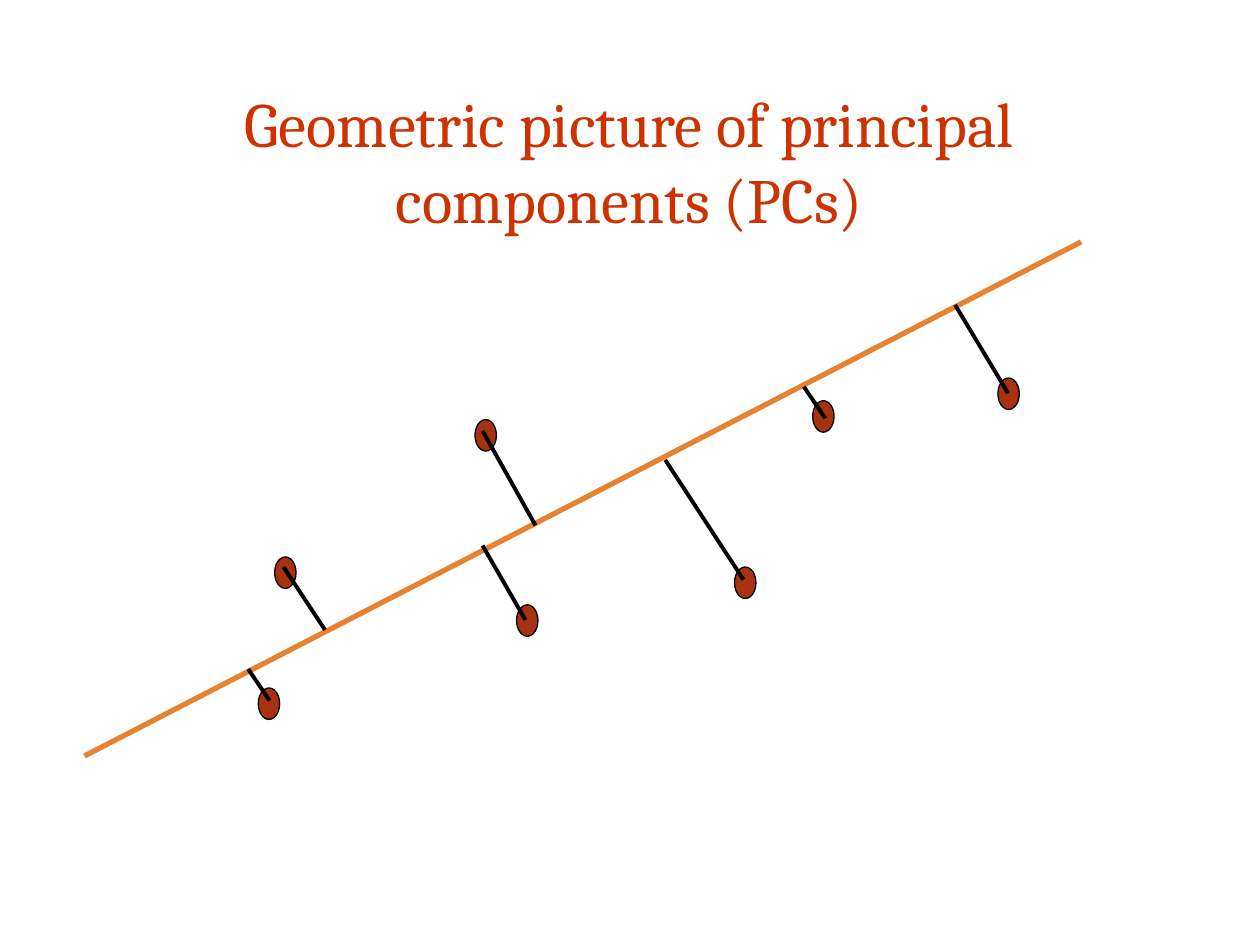
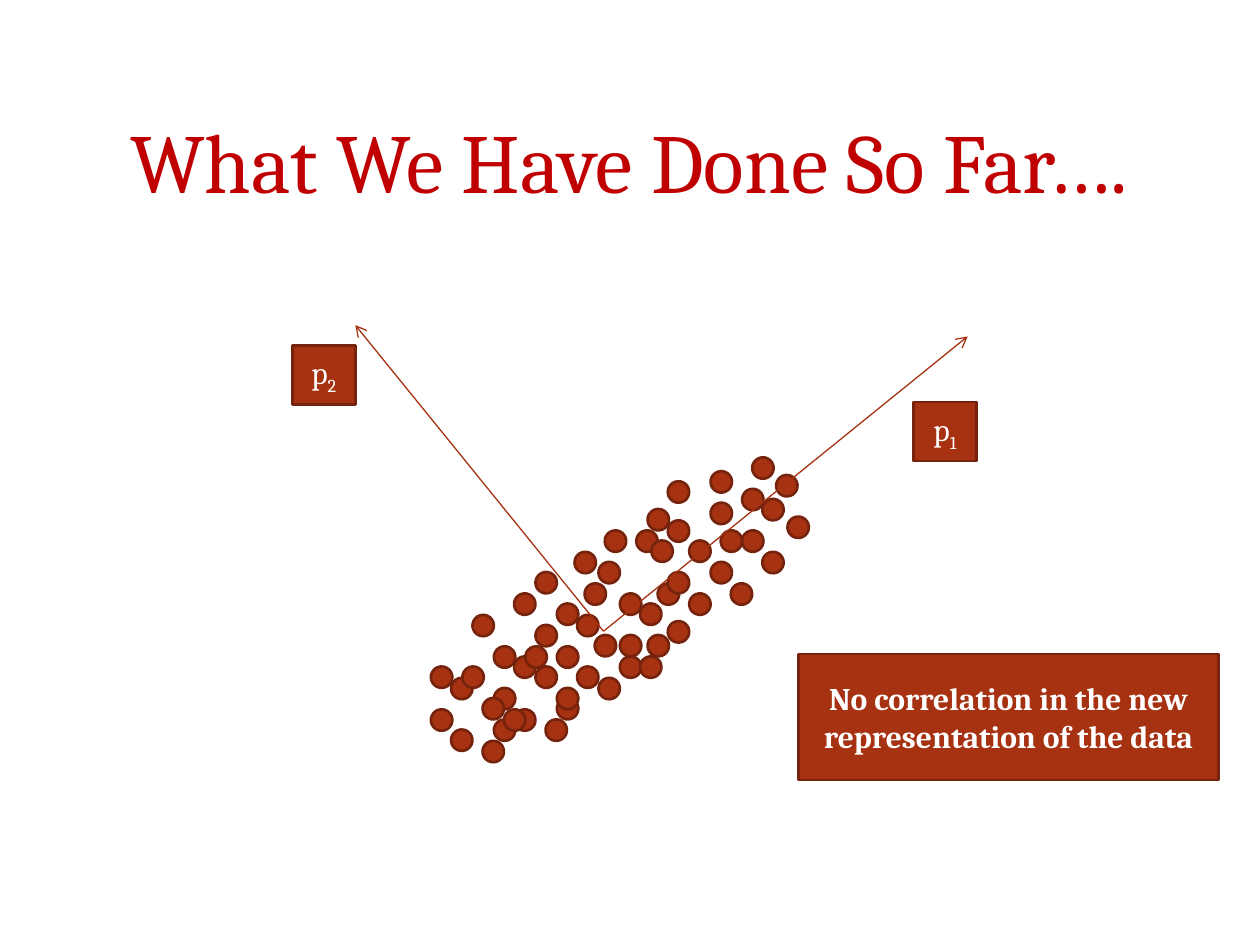
from lxml.etree import SubElement
from pptx import Presentation
from pptx.dml.color import RGBColor
from pptx.enum.shapes import MSO_CONNECTOR, MSO_SHAPE
from pptx.enum.text import MSO_ANCHOR, PP_ALIGN
from pptx.oxml.ns import qn
from pptx.util import Inches, Pt

WHITE = RGBColor(0xFF, 0xFF, 0xFF)
BLACK = RGBColor(0x00, 0x00, 0x00)
TITLE_ORANGE = RGBColor(0xCC, 0x33, 0x00)
TITLE_RED = RGBColor(0xC0, 0x00, 0x00)
RUST = RGBColor(0xA6, 0x32, 0x12)
DARK_RUST = RGBColor(0x75, 0x23, 0x0C)
AXIS_ORANGE = RGBColor(0xE6, 0x82, 0x30)

# Left and top of each point, with both ends of its projection line
PROJECTIONS = [
    ((2.18, 4.42), (2.58, 5), (2.25, 4.5)),
    ((2.05, 5.46), (2.14, 5.56), (1.97, 5.31)),
    ((7.92, 3), (8, 3.12), (7.58, 2.42)),
    ((4.1, 4.8), (4.17, 4.92), (3.83, 4.33)),
    ((3.77, 3.33), (4.25, 4.17), (3.83, 3.42)),
    ((5.83, 4.5), (5.9, 4.6), (5.28, 3.65)),
    ((6.45, 3.18), (6.55, 3.32), (6.38, 3.07)),
]

# Left and top of each point of the data cloud, from back to front
CLOUD = [
    (4.25, 4.54), (4.42, 4.79), (4.58, 4.88), (4.42, 5.13), (4.58, 5.29),
    (4.92, 5.21), (4.75, 4.46), (4.92, 4.71), (5.08, 4.79), (4.92, 5.04),
    (5.08, 5.21), (5.22, 4.63), (3.75, 4.88), (3.92, 5.13), (4.08, 5.21),
    (3.92, 5.46), (4.08, 5.63), (4.42, 5.54), (5.05, 4.21), (3.42, 5.29),
    (3.58, 5.38), (3.42, 5.63), (3.58, 5.79), (3.92, 5.71), (5.17, 4.29),
    (5.14, 4.04), (5.3, 4.13), (6.16, 3.77), (5.3, 4.54), (5.64, 4.46),
    (6.25, 4.1), (5.3, 4.93), (5.47, 4.29), (5.72, 4.21), (5.47, 4.71),
    (5.8, 4.63), (4.08, 4.71), (4.25, 4.96), (4.72, 5.04), (4.25, 5.29),
    (4.42, 5.46), (4.75, 5.38), (4.17, 5.13), (4.64, 4.63), (4.56, 4.38),
    (4.33, 5.71), (5.3, 3.82), (5.64, 3.74), (3.67, 5.29), (3.83, 5.54),
    (4, 5.63), (3.83, 5.88), (5.14, 5.04), (4.8, 4.21), (5.97, 3.63),
    (5.89, 3.88), (6.05, 3.96), (5.89, 4.21), (6.05, 4.38), (5.64, 3.99),
]


class Deck:
    """Holds the shared style and the slide being drawn."""

    FONT = "Cambria"
    TITLE_AREA = (0.6, 0.48, 8.79, 1.58)

    def __init__(self):
        self.presentation = Presentation()
        self.presentation.slide_width = Inches(10)
        self.presentation.slide_height = Inches(7.5)
        self.page = None

    def add_page(self, title, size, color):
        layout = self.presentation.slide_layouts[6]
        self.page = self.presentation.slides.add_slide(layout)
        box = self.page.shapes.add_textbox(*map(Inches, self.TITLE_AREA))
        self.fill_text(box, title, size, color)

    def fill_text(self, box, text, size, color, bold=False, subscript=""):
        frame = box.text_frame
        frame.word_wrap = True
        frame.vertical_anchor = MSO_ANCHOR.MIDDLE
        para = frame.paragraphs[0]
        para.alignment = PP_ALIGN.CENTER
        font_format = {"name": self.FONT, "size": Pt(size), "bold": bold}
        for content in filter(None, (text, subscript)):
            span = para.add_run()
            span.text = content
            for attribute, value in font_format.items():
                setattr(span.font, attribute, value)
            span.font.color.rgb = color
        if subscript:
            span.font._element.set("baseline", "-25000")

    def shape(self, kind, area, outline, width, parent=None):
        """Draw a rust shape on the page, or inside a parent group."""
        shapes = (parent or self.page).shapes
        shape = shapes.add_shape(kind, *map(Inches, area))
        shape.shadow.inherit = False
        shape.fill.solid()
        shape.fill.fore_color.rgb = RUST
        shape.line.color.rgb = outline
        shape.line.width = Pt(width)
        return shape

    def label(self, area, text, **text_format):
        box = self.shape(MSO_SHAPE.RECTANGLE, area, DARK_RUST, 1.5)
        self.fill_text(box, text, 18, WHITE, **text_format)

    def group(self):
        return self.page.shapes.add_group_shape()

    def line(self, start, end, color, width, arrow=False, parent=None):
        shapes = (parent or self.page).shapes
        line = shapes.add_connector(
            MSO_CONNECTOR.STRAIGHT, *map(Inches, (*start, *end)))
        line.line.color.rgb = color
        line.line.width = Pt(width)
        properties = line._element.spPr
        if arrow:
            SubElement(properties.find(qn("a:ln")), qn("a:tailEnd"), type="arrow")
        SubElement(properties, qn("a:effectLst"))


def draw_projections(deck):
    deck.add_page("Geometric picture of principal components (PCs)",
                  36, TITLE_ORANGE)
    for point, _, _ in PROJECTIONS:
        deck.shape(MSO_SHAPE.OVAL, (*point, 0.17, 0.25), BLACK, 0.75)
    deck.line((0.67, 6), (8.58, 1.92), AXIS_ORANGE, 3)
    for _, start, end in PROJECTIONS:
        deck.line(start, end, BLACK, 2.25)


def draw_new_axes(deck):
    deck.add_page("What We Have Done So Far….", 48, TITLE_RED)
    cloud = deck.group()
    for point in CLOUD:
        dot = deck.shape(MSO_SHAPE.OVAL, (*point, 0.17, 0.17),
                         DARK_RUST, 1.5, cloud)
        dot.rotation = 10
    axes = deck.group()
    for tip in ((7.68, 2.67), (2.82, 2.58)):
        deck.line((4.79, 5.01), tip, RUST, 0.75, arrow=True, parent=axes)
    for number, corner in (("1", (7.25, 3.19)), ("2", (2.32, 2.74))):
        deck.label((*corner, 0.5, 0.47), "p", subscript=number)
    deck.label((6.34, 5.19, 3.33, 1),
               "No correlation in the new representation of the data", bold=True)


def main():
    deck = Deck()
    draw_projections(deck)
    draw_new_axes(deck)
    deck.presentation.save("out.pptx")


if __name__ == "__main__":
    main()
